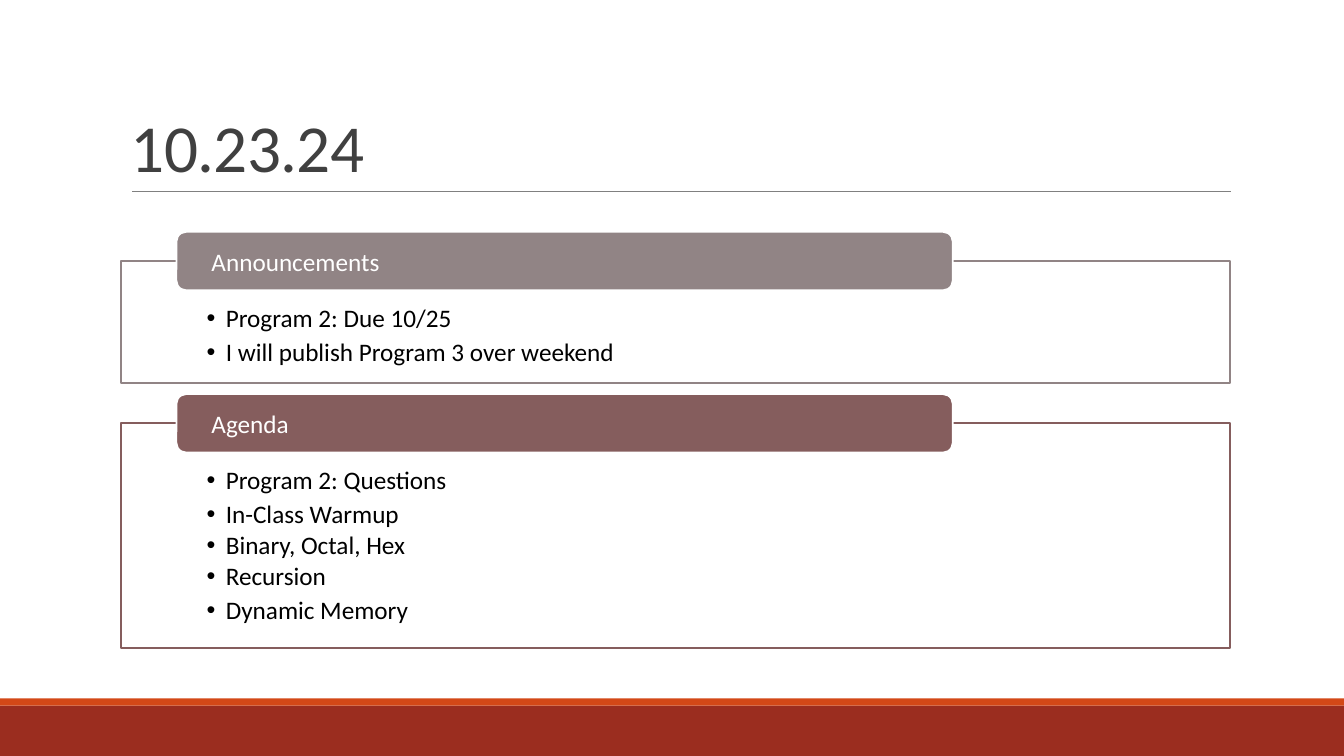
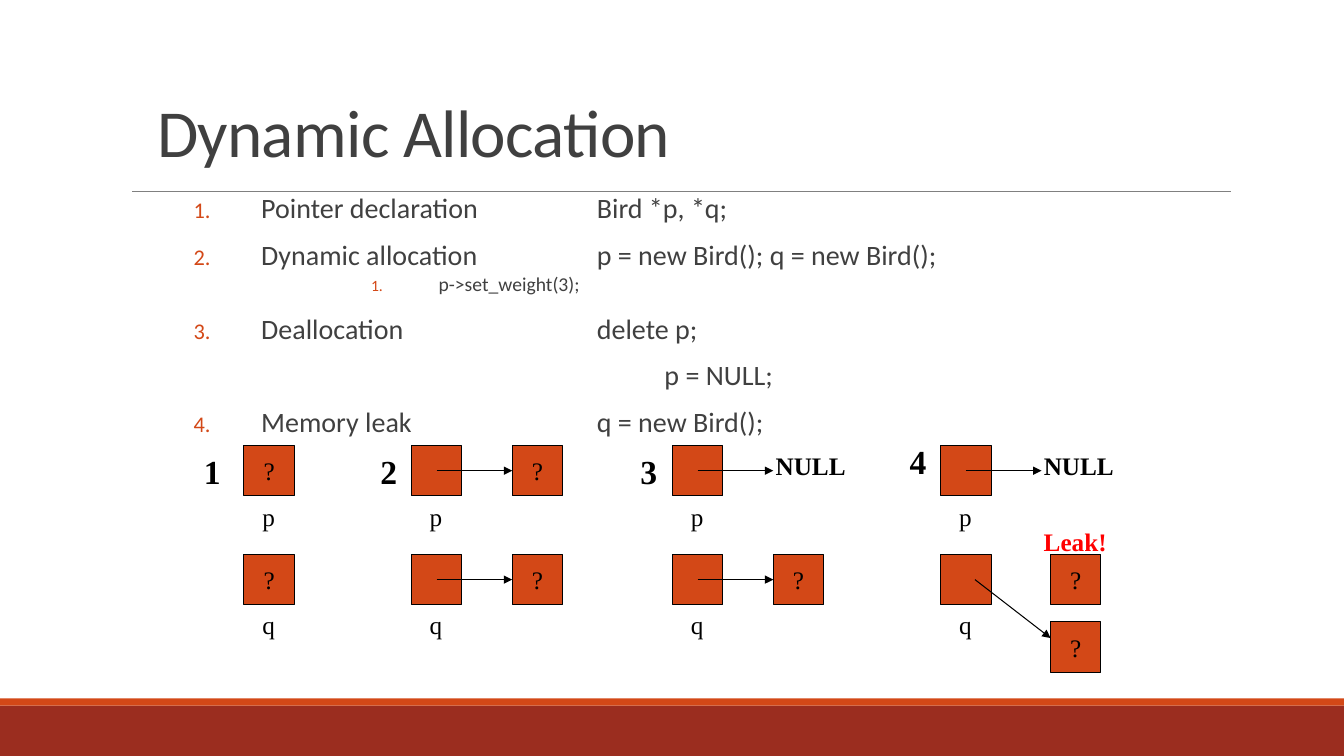
from lxml import etree
from pptx import Presentation
from pptx import util as u
from pptx.dml.color import RGBColor
from pptx.enum import shapes, text
from pptx.oxml.ns import qn

Inches, Pt = u.Inches, u.Pt

WHITE = RGBColor(0xFF, 0xFF, 0xFF)
BLACK = RGBColor(0, 0, 0)
RED = RGBColor(0xFF, 0, 0)
INK = RGBColor(0x40, 0x40, 0x40)
RULE = RGBColor(0x80, 0x80, 0x80)
BRICK = RGBColor(0x9B, 0x2D, 0x1F)
ORANGE = RGBColor(0xD3, 0x48, 0x17)
TAUPE = RGBColor(0x91, 0x84, 0x85)
MAUVE = RGBColor(0x85, 0x5D, 0x5D)

SANS, SERIF = "Calibri", "Times New Roman"
WIDTH, HEIGHT = 13.33, 7.5
CELL = 0.5
ROW_PITCH = 1.08


def add_box(page, box, fill, line=None, weight=0.75, kind=shapes.MSO_SHAPE.RECTANGLE):
    shape = page.shapes.add_shape(kind, *map(Inches, box))
    shape.shadow.inherit = False
    shape.fill.solid()
    shape.fill.fore_color.rgb = fill
    if line is None:
        shape.line.fill.background()
    else:
        shape.line.color.rgb = line
        shape.line.width = Pt(weight)
    return shape


def add_line(page, start, end, color, weight, arrow=False):
    line = page.shapes.add_connector(
        shapes.MSO_CONNECTOR.STRAIGHT, *map(Inches, (*start, *end)))
    line.line.color.rgb = color
    line.line.width = Pt(weight)
    if arrow:
        tail = etree.SubElement(line.line._get_or_add_ln(), qn("a:tailEnd"))
        tail.set("type", "triangle")
    etree.SubElement(line._element.spPr, qn("a:effectLst"))
    return line


def set_insets(frame, left, top, right, bottom):
    frame.margin_left, frame.margin_top = Inches(left), Inches(top)
    frame.margin_right, frame.margin_bottom = Inches(right), Inches(bottom)


def style_para(para, size, color, font=SANS, bold=False, align=text.PP_ALIGN.LEFT):
    para.alignment = align
    for span in para.runs:
        span.font.name = font
        span.font.size = Pt(size)
        span.font.bold = bold
        span.font.color.rgb = color


def set_indent(para, left, hanging):
    props = para._p.get_or_add_pPr()
    props.set("marL", str(Inches(left)))
    props.set("indent", str(-Inches(hanging)))
    return props


def add_bullet(props):
    etree.SubElement(props, qn("a:buFont")).set("typeface", "Arial")
    etree.SubElement(props, qn("a:buChar")).set("char", "•")


def add_number(props, start=None):
    color = etree.SubElement(props, qn("a:buClr"))
    etree.SubElement(color, qn("a:srgbClr")).set("val", str(ORANGE))
    etree.SubElement(props, qn("a:buSzPct")).set("val", "80000")
    etree.SubElement(props, qn("a:buFont")).set("typeface", "+mj-lt")
    number = etree.SubElement(props, qn("a:buAutoNum"))
    number.set("type", "arabicPeriod")
    if start:
        number.set("startAt", str(start))


def add_page(deck, title, title_box):
    """Add a blank slide with the shared bands, rule and title."""
    page = deck.slides.add_slide(deck.slide_layouts[6])
    add_box(page, (0, 7, WIDTH, 0.5), BRICK)
    add_box(page, (0, 6.93, WIDTH, 0.07), ORANGE)
    add_line(page, (1.31, 1.9), (12.21, 1.9), RULE, 0.5)
    frame = page.shapes.add_textbox(*map(Inches, title_box)).text_frame
    frame.word_wrap = True
    frame.vertical_anchor = text.MSO_ANCHOR.BOTTOM
    frame.text = title
    para = frame.paragraphs[0]
    para.line_spacing = 0.85
    style_para(para, 48, INK)
    para.runs[0].font._element.set("spc", "-50")
    return page


def add_section(page, box, heading, color, items):
    """Draw an outlined list with a heading tab across its top edge."""
    left, top, _, _ = box
    frame = add_box(page, box, WHITE, color, 1.25).text_frame
    frame.word_wrap = True
    frame.vertical_anchor = text.MSO_ANCHOR.TOP
    set_insets(frame, 0.85, 0.41, 0.85, 0.14)
    frame.text = "\n".join(item for item, _ in items)
    for para, (_, spacing) in zip(frame.paragraphs, items):
        para.line_spacing = spacing
        para.space_after = Pt(2.7)
        add_bullet(set_indent(para, 0.19, 0.19))
        style_para(para, 18, BLACK)

    tab = add_box(page, (left + 0.55, top - 0.29, 7.7, 0.58), color, WHITE, 1.25,
                  shapes.MSO_SHAPE.ROUNDED_RECTANGLE).text_frame
    tab.word_wrap = True
    tab.vertical_anchor = text.MSO_ANCHOR.MIDDLE
    set_insets(tab, 0.32, 0, 0.32, 0)
    tab.text = heading
    style_para(tab.paragraphs[0], 18, WHITE)


def add_code_steps(page, box):
    steps = [
        # text, numbered, start, nested
        ("Pointer declaration\t\tBird *p, *q;", True, None, False),
        ("Dynamic allocation\t\tp = new Bird(); q = new Bird();", True, None, False),
        ("p->set_weight(3);", True, None, True),
        ("Deallocation\t\tdelete p;", True, None, False),
        ("\t\t\t\t\tp = NULL;", False, None, False),
        ("Memory leak\t\tq = new Bird();", True, 4, False),
    ]
    frame = page.shapes.add_textbox(*map(Inches, box)).text_frame
    frame.word_wrap = True
    set_insets(frame, 0, 0.05, 0, 0.05)
    frame.text = "\n".join(step[0] for step in steps)
    for para, (_, numbered, start, nested) in zip(frame.paragraphs, steps):
        para.level = 8 if nested else 0
        para.line_spacing = 0.8
        para.space_before = Pt(2 if nested else 12)
        para.space_after = Pt(4 if nested else 2)
        props = set_indent(para, 2.43 if nested else 0.67, 0.67)
        props.set("defTabSz", str(Inches(1)))
        if numbered:
            add_number(props, start)
        style_para(para, 14 if nested else 20, INK)


def add_label(page, box, words, size=18, color=BLACK, bold=True):
    frame = page.shapes.add_textbox(*map(Inches, box)).text_frame
    frame.word_wrap = False
    frame.auto_size = text.MSO_AUTO_SIZE.SHAPE_TO_FIT_TEXT
    frame.text = words
    style_para(frame.paragraphs[0], size, color, SERIF, bold, text.PP_ALIGN.CENTER)


def add_cell(page, left, top, words=""):
    cell = add_box(page, (left, top, CELL, CELL), ORANGE, BLACK)
    frame = cell.text_frame
    frame.word_wrap = False
    frame.vertical_anchor = text.MSO_ANCHOR.MIDDLE
    frame.text = words
    style_para(frame.paragraphs[0], 18, BLACK, SERIF, align=text.PP_ALIGN.CENTER)
    return cell


def add_memory_step(page, left, top, number, number_offset, targets):
    """Draw pointers p and q, one above the other, with what each refers to."""
    dx, dy = number_offset
    add_label(page, (left + dx, top + dy, 0.37, 0.5), number, 24)
    for row, (name, target) in enumerate(zip("pq", targets)):
        row_top = top + row * ROW_PITCH
        middle = row_top + CELL / 2
        start, end = (left + CELL / 2, middle), (left + 1, middle)
        add_cell(page, left, row_top, "?" if target == "unset" else "")
        add_label(page, (left + 0.08, row_top + CELL, 0.33, 0.4), name, bold=False)
        if target == "object":
            cell = add_cell(page, left + 1, row_top, "?")
            add_line(page, start, end, BLACK, 0.75, True).end_connect(cell, 1)
        elif target == "null":
            add_line(page, start, end, BLACK, 0.75, True)
            add_label(page, (left + 0.92, row_top, 0.9, 0.4), "NULL")
        elif target == "leak":
            add_cell(page, left + 1.09, row_top, "?")
            add_cell(page, left + 1.09, row_top + 0.67, "?")
            add_line(page, (left + 0.34, middle), (left + 1.09, middle + 0.58),
                     BLACK, 0.75, True)
            add_label(page, (left + 0.92, row_top - 0.33, 0.83, 0.4), "Leak!", color=RED)


def build_agenda(deck):
    page = add_page(deck, "10.23.24", (1.2, 0.31, 11, 1.59))
    add_section(page, (1.2, 2.59, 11, 1.21), "Announcements", TAUPE, [
        ("Program 2: Due 10/25", 1.0),
        ("I will publish Program 3 over weekend", 1.0),
    ])
    add_section(page, (1.2, 4.2, 11, 2.23), "Agenda", MAUVE, [
        ("Program 2: Questions", 1.0),
        ("In-Class Warmup", 1.0),
        ("Binary, Octal, Hex", 0.9),
        ("Recursion", 0.9),
        ("Dynamic Memory", 1.0),
    ])


def build_allocation(deck):
    page = add_page(deck, "Dynamic Allocation", (1.46, 0.5, 8.5, 1.25))
    add_code_steps(page, (1.92, 1.91, 9.58, 2.67))
    memory_steps = [
        (2.42, "1", (-0.5, 0), ("unset", "unset")),
        (4.08, "2", (-0.41, 0), ("object", "object")),
        (6.67, "3", (-0.42, 0), ("null", "object")),
        (9.33, "4", (-0.41, -0.09), ("null", "leak")),
    ]
    for left, number, offset, targets in memory_steps:
        add_memory_step(page, left, 4.42, number, offset, targets)


def main():
    deck = Presentation()
    deck.slide_width, deck.slide_height = Inches(WIDTH), Inches(HEIGHT)
    build_agenda(deck)
    build_allocation(deck)
    deck.save("out.pptx")


if __name__ == "__main__":
    main()
